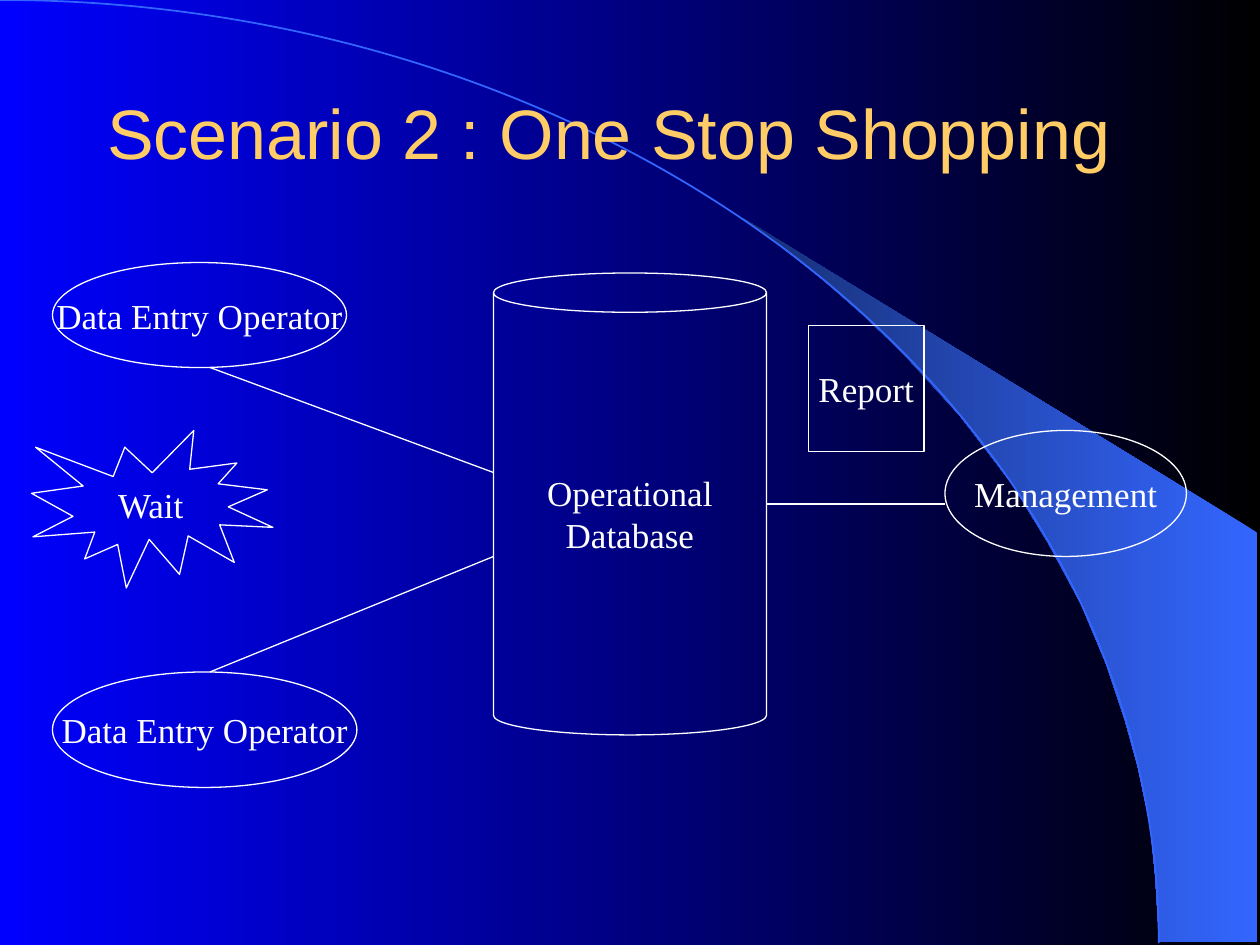
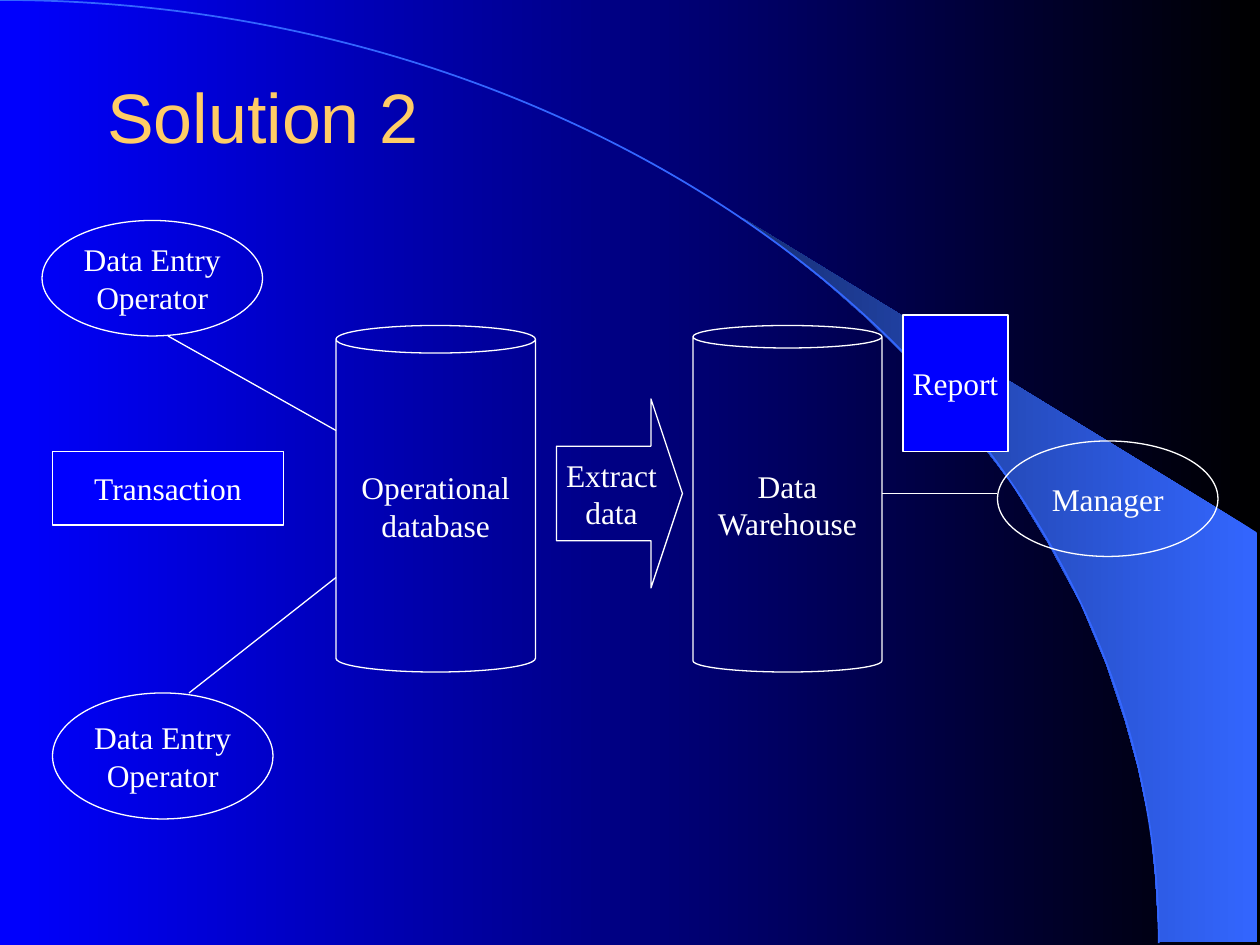
from dataclasses import dataclass

import pptx
import pptx.dml.color
import pptx.enum.shapes
import pptx.enum.text
import pptx.oxml.xmlchemy
import pptx.util

Cm = pptx.util.Cm
Pt = pptx.util.Pt
Kind = pptx.enum.shapes.MSO_SHAPE
Align = pptx.enum.text.PP_ALIGN
Anchor = pptx.enum.text.MSO_ANCHOR


@dataclass(frozen=True)
class Theme:
    black: str = "000000"
    blue: str = "0000FF"
    sky: str = "3366FF"
    navy: str = "172F75"
    gold: str = "FFCC66"
    white: str = "FFFFFF"
    head_font: str = "Arial"
    text_font: str = "Times New Roman"
    head_size: float = 40
    thin: float = 0.75
    curve: float = 1


@dataclass(frozen=True)
class Node:
    """A labelled shape; place is left, top, width, height in grid steps."""
    text: str
    kind: Kind
    place: tuple[int, int, int, int]
    adjust: tuple[float, ...] = ()
    fill: str | None = None


@dataclass(frozen=True)
class Link:
    start: tuple[int, int]
    end: tuple[int, int]


@dataclass(frozen=True)
class Page:
    title: str
    depth: int
    size: float
    nodes: list[Node]
    links: list[Link]


THEME = Theme()

# Outline of the bright band, in centimetres
BAND = [
    (23.37, 19), (25.35, 19), (25.35, 10.74), (14.96, 4.39), (15.85, 5.05),
    (16.59, 5.64), (17.4, 6.35), (18.19, 7.11), (19.35, 8.38), (20.4, 9.75),
    (21.13, 10.95), (21.79, 12.17), (22.3, 13.39), (22.68, 14.53),
    (22.94, 15.47), (23.19, 16.66), (23.29, 17.68),
]

PAGES = [
    Page("Scenario 2 : One Stop Shopping", 9, 20, [
        Node("Operational\nDatabase", Kind.CAN, (47, 26, 26, 44), (0.144,)),
        Node("Data Entry Operator", Kind.OVAL, (5, 25, 28, 10)),
        Node("Data Entry Operator", Kind.OVAL, (5, 64, 29, 11)),
        Node("Management", Kind.OVAL, (90, 41, 23, 12)),
        Node("Wait", Kind.EXPLOSION1, (3, 41, 23, 15)),
        Node("Report", Kind.RECTANGLE, (77, 31, 11, 12)),
    ], [
        Link((20, 35), (47, 45)),
        Link((20, 64), (47, 53)),
        Link((73, 48), (90, 48)),
    ]),
    Page("Solution 2", 6, 18, [
        Node("Operational\ndatabase", Kind.CAN, (32, 31, 19, 33), (0.138,)),
        Node("Data\nWarehouse", Kind.CAN, (66, 31, 18, 33), (0.119,)),
        Node("Extract\ndata", Kind.RIGHT_ARROW, (53, 38, 12, 18), (0.5, 0.25)),
        Node("Data Entry\nOperator", Kind.OVAL, (5, 66, 21, 12)),
        Node("Data Entry\nOperator", Kind.OVAL, (4, 21, 21, 11)),
        Node("Manager", Kind.OVAL, (95, 42, 21, 11)),
        Node("Report", Kind.RECTANGLE, (86, 30, 10, 13), fill=THEME.blue),
        Node("Transaction", Kind.RECTANGLE, (5, 43, 22, 7), fill=THEME.blue),
    ], [
        Link((16, 32), (32, 41)),
        Link((18, 66), (32, 55)),
        Link((84, 47), (95, 47)),
    ]),
]


def step(count: float) -> pptx.util.Length:
    """Length of grid steps, twelve to the inch."""
    return Cm(count * 2.54 / 12)


def paint(color: str) -> pptx.dml.color.RGBColor:
    return pptx.dml.color.RGBColor.from_string(color)


def blend(fill, first: str, last: str) -> None:
    """Fill with a gradient running from right to left."""
    fill.gradient()
    fill.gradient_angle = 180
    for stop, color in zip(fill.gradient_stops, (first, last)):
        stop.color.rgb = paint(color)


def stroke(line, color: str, width: float) -> None:
    line.color.rgb = paint(color)
    line.width = Pt(width)


def style(frame, font: str, size: float, color: str, align: Align) -> None:
    frame.vertical_anchor = Anchor.MIDDLE
    frame.margin_left = frame.margin_right = step(1.2)
    frame.margin_top = frame.margin_bottom = step(0.6)
    for para in frame.paragraphs:
        para.alignment = align
        for run in para.runs:
            run.font.name = font
            run.font.size = Pt(size)
            run.font.color.rgb = paint(color)


def add_band(slide):
    points = [(Cm(left), Cm(top)) for left, top in BAND]
    pen = slide.shapes.build_freeform(*points[0], scale=1.0)
    pen.add_line_segments(points[1:], close=True)
    band = pen.convert_to_shape()
    blend(band.fill, THEME.sky, THEME.navy)
    band.line.fill.background()
    return band


def add_curve(slide):
    """Draw the top right quarter of a large ellipse."""
    curve = slide.shapes.add_shape(
        Kind.ARC, Cm(-23.36), Cm(0), Cm(46.72), Cm(38.03))
    curve.fill.background()
    stroke(curve.line, THEME.sky, THEME.curve)
    return curve


def dress(master, slide) -> None:
    """Give the master its backdrop, drawn on the slide and then moved."""
    blend(master.background.fill, THEME.black, THEME.blue)
    for index, shape in enumerate((add_band(slide), add_curve(slide))):
        shape.shadow.inherit = False
        shape.element.nvSpPr.cNvPr.id = 100 + index
        master.shapes.element.insert(2 + index, shape.element)


def add_title(slide, text: str, depth: int) -> None:
    title = slide.shapes.title
    title.left, title.top = step(9), step(8)
    title.width, title.height = step(102), step(depth)
    frame = title.text_frame
    frame.text = text
    frame.auto_size = pptx.enum.text.MSO_AUTO_SIZE.NONE
    style(frame, THEME.head_font, THEME.head_size, THEME.gold, Align.LEFT)


def add_node(slide, node: Node, size: float) -> None:
    shape = slide.shapes.add_shape(node.kind, *map(step, node.place))
    shape.shadow.inherit = False
    for index, value in enumerate(node.adjust):
        shape.adjustments[index] = value
    if node.fill:
        shape.fill.solid()
        shape.fill.fore_color.rgb = paint(node.fill)
    else:
        shape.fill.background()
    stroke(shape.line, THEME.white, THEME.thin)
    frame = shape.text_frame
    frame.text = node.text
    frame.word_wrap = False
    style(frame, THEME.text_font, size, THEME.white, Align.CENTER)


def add_link(slide, link: Link) -> None:
    ends = map(step, link.start + link.end)
    line = slide.shapes.add_connector(
        pptx.enum.shapes.MSO_CONNECTOR.STRAIGHT, *ends)
    stroke(line.line, THEME.white, THEME.thin)
    line.element.spPr.append(pptx.oxml.xmlchemy.OxmlElement("a:effectLst"))


def main() -> None:
    deck = pptx.Presentation()
    deck.slide_width, deck.slide_height = Cm(25.4), Cm(19.05)
    slides = [deck.slides.add_slide(deck.slide_layouts[5]) for _ in PAGES]
    dress(deck.slide_master, slides[0])
    for slide, page in zip(slides, PAGES):
        add_title(slide, page.title, page.depth)
        for node in page.nodes:
            add_node(slide, node, page.size)
        for link in page.links:
            add_link(slide, link)
    deck.save("out.pptx")


if __name__ == "__main__":
    main()
